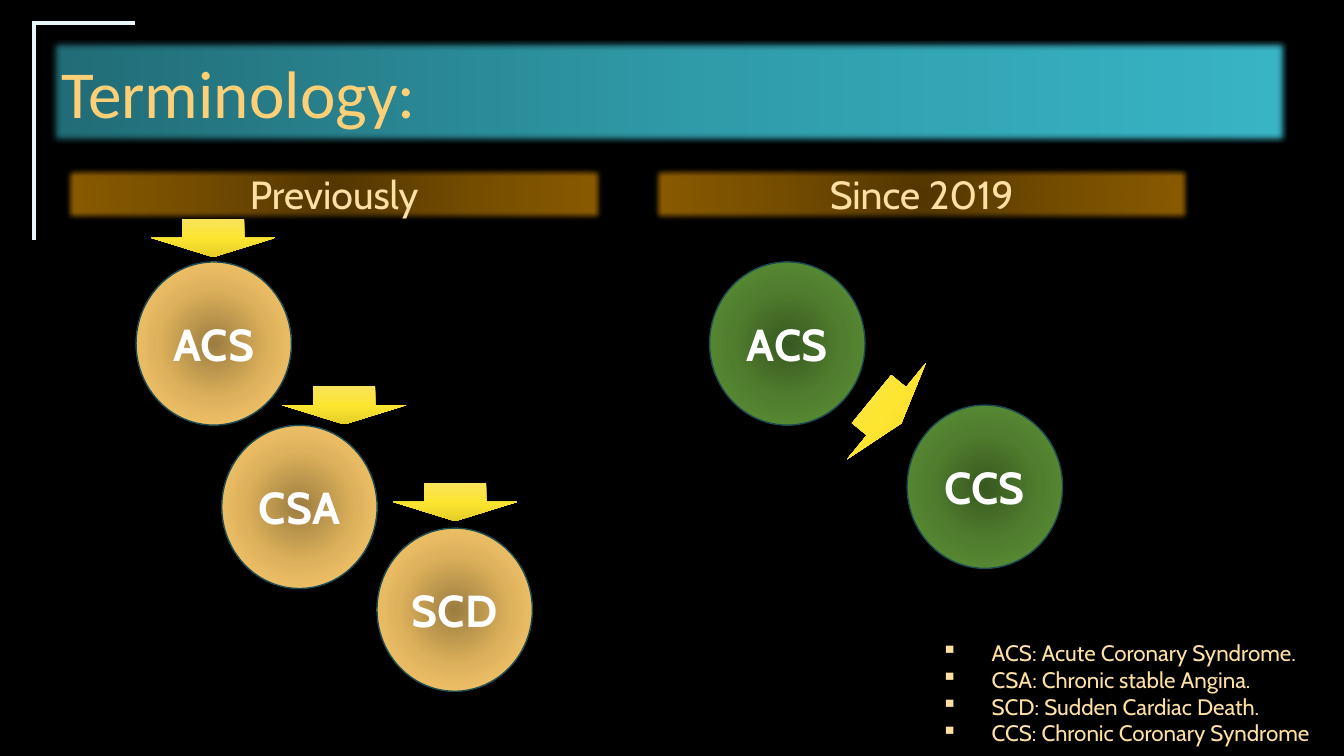
from dataclasses import dataclass

from lxml import etree
from pptx import Presentation
from pptx.dml.color import RGBColor
from pptx.enum.shapes import MSO_CONNECTOR, MSO_SHAPE
from pptx.enum.text import MSO_ANCHOR, PP_ALIGN
from pptx.oxml.ns import qn
from pptx.util import Pt

RECTANGLE, OVAL, DOWN_ARROW = MSO_SHAPE.RECTANGLE, MSO_SHAPE.OVAL, MSO_SHAPE.DOWN_ARROW
STRAIGHT = MSO_CONNECTOR.STRAIGHT
MIDDLE, LEFT, CENTER = MSO_ANCHOR.MIDDLE, PP_ALIGN.LEFT, PP_ALIGN.CENTER
TITLE_ONLY = 5


@dataclass(frozen=True)
class Theme:
    background: str = "000000"
    corner: str = "EAF7FA"
    title: str = "FDD077"
    title_line: str = "30818C"
    outline: str = "1C4C53"
    cream: str = "FEE0A4"
    white: str = "FFFFFF"
    teal: tuple = ("216B75", "2F99A7", "38B5C6")
    brown: tuple = ("533700", "764E00", "8C5D00")
    gold: tuple = ("9C7D40", "DEB25C", "FFD175")
    green: tuple = ("385820", "507E2E", "5F9537")
    yellow: tuple = ("F8E35C", "FDE531", "E5CE27")
    title_font: str = "Calibri"
    body_font: str = "Cabin"
    title_size: int = 48
    heading_size: int = 28
    circle_size: int = 32
    legend_size: int = 16


THEME = Theme()
CIRCLE = (111, 116.6)
ARROW = (88.6, 27.4)
SOFT_EDGE = 5


def child(parent, tag, **attributes):
    return etree.SubElement(parent, qn(tag), attributes)


def style_font(paragraph, name, size, color, bold=False):
    font = paragraph.font
    font.name, font.size, font.bold = name, Pt(size), bold
    font.color.rgb = RGBColor.from_string(color)


def paint(shape, colors, angle=None, outline=None):
    """Three-stop gradient: linear at an angle, or circular from the centre."""
    shape.shadow.inherit = False
    shape.fill.gradient()
    gradient = shape._element.spPr.find(qn("a:gradFill"))
    for part in list(gradient):
        gradient.remove(part)
    stops = child(gradient, "a:gsLst")
    for position, color in zip((0, 50, 100), colors):
        stop = child(stops, "a:gs", pos=str(position * 1000))
        child(stop, "a:srgbClr", val=color)
    if angle is None:
        path = child(gradient, "a:path", path="circle")
        child(path, "a:fillToRect", l="50000", t="50000", r="50000", b="50000")
    else:
        child(gradient, "a:lin", ang=str(angle * 60000), scaled="0")
    if outline:
        shape.line.color.rgb = RGBColor.from_string(outline)
        shape.line.width = Pt(1)
    else:
        shape.line.fill.background()


def soften(shape):
    effects = shape._element.spPr.find(qn("a:effectLst"))
    child(effects, "a:softEdge", rad=str(Pt(SOFT_EDGE)))


def write(shape, text, font, size, color, align=CENTER, bold=False):
    frame = shape.text_frame
    frame.text = text
    frame.word_wrap = True
    frame.vertical_anchor = MIDDLE
    paragraph = frame.paragraphs[0]
    paragraph.alignment = align
    style_font(paragraph, font, size, color, bold)


def add_corner(page, left, top, width, height):
    # Horizontal bar overshoots the upright by half its thickness
    ends = [(left - 1.5, top, left + width, top), (left, top, left, top + height)]
    for end in ends:
        line = page.shapes.add_connector(STRAIGHT, *map(Pt, end))
        line.line.color.rgb = RGBColor.from_string(THEME.corner)
        line.line.width = Pt(3)
        child(line._element.spPr, "a:effectLst")


def add_title(page, text, left, top, width, height):
    title = page.shapes.title
    title.left, title.top, title.width, title.height = map(Pt, (left, top, width, height))
    paint(title, THEME.teal, angle=0, outline=THEME.title_line)
    soften(title)
    write(title, text, THEME.title_font, THEME.title_size, THEME.title, LEFT)


def add_column(page, heading, colors, circles, arrows, left, top, width, height):
    """Heading bar with circles and arrows offset from its top left corner."""
    bar = page.shapes.add_shape(RECTANGLE, *map(Pt, (left, top, width, height)))
    paint(bar, THEME.brown, outline=THEME.outline)
    soften(bar)
    write(bar, heading, THEME.body_font, THEME.heading_size, THEME.cream)

    # Circles
    group = page.shapes.add_group_shape()
    for label, across, down in circles:
        circle = group.shapes.add_shape(OVAL, Pt(left + across), Pt(top + down), *map(Pt, CIRCLE))
        paint(circle, colors, outline=THEME.outline)
        write(circle, label, THEME.body_font, THEME.circle_size, THEME.white, bold=True)

    # Arrows
    for across, down, turn in arrows:
        arrow = page.shapes.add_shape(DOWN_ARROW, Pt(left + across), Pt(top + down), *map(Pt, ARROW))
        paint(arrow, THEME.yellow, angle=90)
        arrow.rotation = turn


def add_legend(page, entries, left, top, width, height):
    box = page.shapes.add_textbox(*map(Pt, (left, top, width, height)))
    frame = box.text_frame
    frame.word_wrap = True
    frame.text = "\n".join(entries)
    for paragraph in frame.paragraphs:
        properties = paragraph._p.get_or_add_pPr()
        properties.set("marL", str(Pt(36)))
        properties.set("indent", str(-Pt(36)))
        child(properties, "a:buChar", char="▪")
        style_font(paragraph, THEME.body_font, THEME.legend_size, THEME.cream)


def main():
    deck = Presentation()
    deck.slide_width, deck.slide_height = Pt(960), Pt(540)
    page = deck.slides.add_slide(deck.slide_layouts[TITLE_ONLY])
    page.background.fill.solid()
    page.background.fill.fore_color.rgb = RGBColor.from_string(THEME.background)

    add_corner(page, 24.5, 16.5, 72, 155)
    add_title(page, "Terminology:", 36.7, 28.8, 882.7, 73.4)

    column_top, column_width, bar_height = 118, 386.6, 41
    add_column(
        page, "Previously", THEME.gold,
        [("ACS", 51.8, 69.1), ("CSA", 113, 185.8), ("SCD", 223.9, 259.2)],
        [(62.6, 38.2, 0), (156.2, 157.7, 0), (235.4, 226.8, 0)],
        45.4, column_top, column_width, bar_height)
    add_column(
        page, "Since 2019", THEME.green,
        [("ACS", 41.8, 69.1), ("CCS", 182.9, 171.4)],
        [(123.8, 162, 309.3)],
        465.1, column_top, column_width, bar_height)

    add_legend(page, [
        "ACS: Acute Coronary Syndrome.",
        "CSA: Chronic stable Angina.",
        "SCD: Sudden Cardiac Death.",
        "CCS: Chronic Coronary Syndrome",
    ], 665.3, 452.9, 294.5, 85)
    deck.save("out.pptx")


if __name__ == "__main__":
    main()
